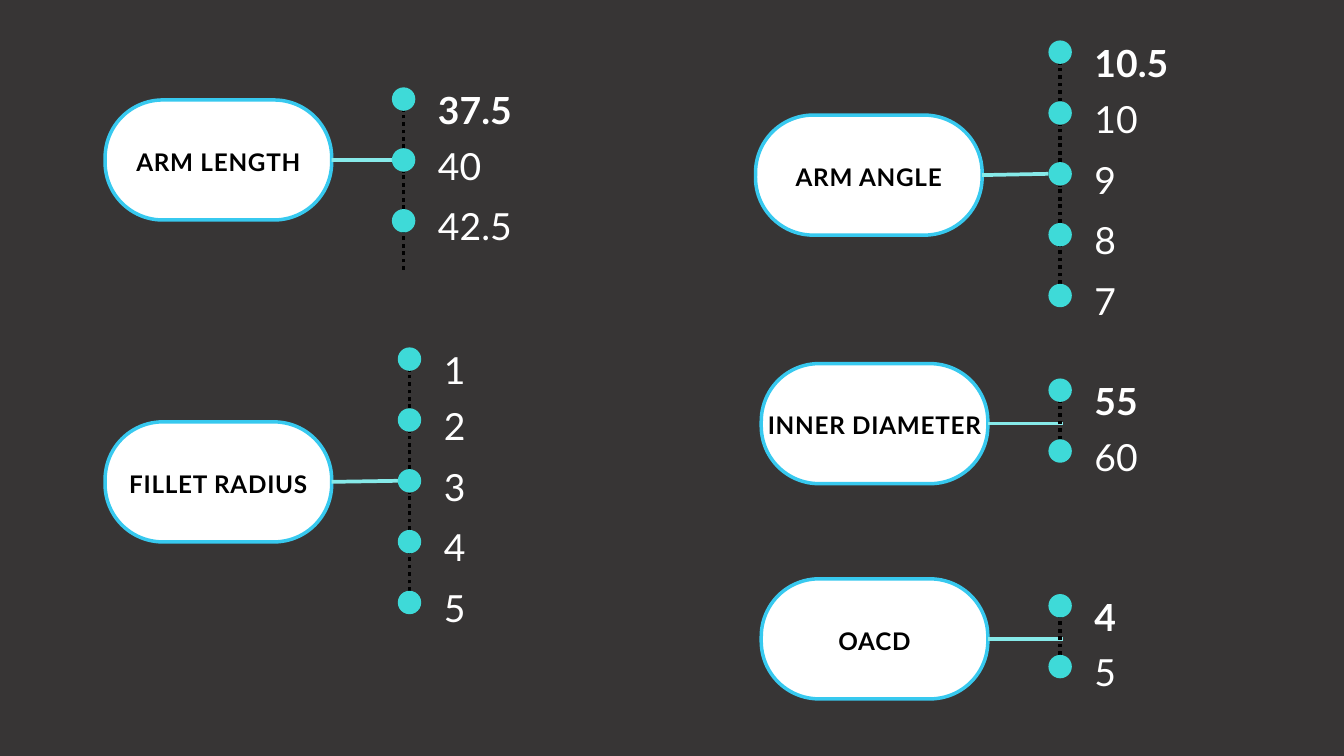
from lxml.etree import SubElement
from pptx import Presentation
from pptx.dml.color import RGBColor
from pptx.enum.dml import MSO_LINE_DASH_STYLE as Dash
from pptx.enum.shapes import MSO_CONNECTOR as Connector, MSO_SHAPE as Shape
from pptx.enum.text import MSO_ANCHOR as Anchor, MSO_AUTO_SIZE as AutoSize, PP_ALIGN as Align
from pptx.oxml.ns import qn
from pptx.util import Pt

FONT = "Lato"
BACKGROUND, WHITE, BLACK = "373535", "FFFFFF", "000000"
PILL_EDGE, DOT_FILL, LINK = "37C9EF", "3EDAD8", "86EAE9"

PILL_WIDTH, PILL_HEIGHT = 242.8, 128.6
DOT = 25.1
PITCH = 65.2  # from one dot to the next
LABEL_DROP = 5.7  # label box starts a little below the pill's top


def color(hex_string):
    return RGBColor.from_string(hex_string)


def add_filled(slide, preset, left, top, width, height, fill):
    shape = slide.shapes.add_shape(preset, Pt(left), Pt(top), Pt(width), Pt(height))
    shape.shadow.inherit = False
    shape.fill.solid()
    shape.fill.fore_color.rgb = color(fill)
    shape.line.fill.background()
    return shape


def add_line(slide, x1, y1, x2, y2, stroke, dash=None):
    line = slide.shapes.add_connector(Connector.STRAIGHT, Pt(x1), Pt(y1), Pt(x2), Pt(y2))
    line.line.color.rgb = color(stroke)
    line.line.width = Pt(4)
    if dash:
        line.line.dash_style = dash
    SubElement(line._element.spPr, qn("a:effectLst"))


def add_text(slide, left, top, width, height, text, size, spacing, fill, bold, inset=0):
    box = slide.shapes.add_textbox(Pt(left), Pt(top), Pt(width), Pt(height))
    frame = box.text_frame
    frame.word_wrap = True
    frame.margin_left = frame.margin_right = Pt(inset)
    frame.margin_top = frame.margin_bottom = Pt(inset)
    paragraph = frame.paragraphs[0]
    paragraph.line_spacing = Pt(spacing)
    run = paragraph.add_run()
    run.text = text
    run.font.name = FONT
    run.font.size = Pt(size)
    run.font.bold = bold
    run.font.color.rgb = color(fill)
    return frame


def add_pill(slide, left, top, title):
    pill = add_filled(slide, Shape.ROUNDED_RECTANGLE, left, top, PILL_WIDTH, PILL_HEIGHT, WHITE)
    pill.adjustments[0] = 0.48
    pill.line.color.rgb = color(PILL_EDGE)
    pill.line.width = Pt(3.75)
    frame = add_text(slide, left, top + LABEL_DROP, PILL_WIDTH, PILL_HEIGHT - LABEL_DROP,
                     title, 26, 28.6, BLACK, True, inset=4)
    frame.vertical_anchor = Anchor.MIDDLE
    frame.paragraphs[0].alignment = Align.CENTER
    frame.paragraphs[0].runs[0]._r.get_or_add_rPr().set("spc", "80")


def add_scale(slide, left, top, values, first_bold, open_end):
    axis = left + DOT / 2
    for index, value in enumerate(values):
        dot_top = top + index * PITCH
        # Dotted step down to the next value
        if index < len(values) - 1 or open_end:
            add_line(slide, axis, dot_top + PITCH, axis, dot_top + DOT, BLACK, Dash.ROUND_DOT)
        add_filled(slide, Shape.OVAL, left, dot_top, DOT, DOT, DOT_FILL)
        # The first value sits slightly lower against its dot
        rise = 12.2 if index == 0 else 17.8
        frame = add_text(slide, left + 49.4, dot_top - rise, 155, 54, value, 40, 60, WHITE,
                         first_bold and index == 0)
        frame.auto_size = AutoSize.SHAPE_TO_FIT_TEXT


def add_parameter(slide, left, top, title, scale_left, scale_top, values,
                  linked=None, first_bold=True, open_end=False):
    """Pill at left, top; its scale of values beside it, joined by a link."""
    add_pill(slide, left, top, title)
    middle = top + PILL_HEIGHT / 2
    if linked is None:  # link meets the axis between two dots
        end_x, end_y = scale_left + DOT / 2 + 3, middle
    else:
        end_x, end_y = scale_left, scale_top + linked * PITCH + DOT / 2
    add_line(slide, left + PILL_WIDTH, middle, end_x, end_y, LINK)
    add_scale(slide, scale_left, scale_top, values, first_bold, open_end)


def main():
    presentation = Presentation()
    presentation.slide_width, presentation.slide_height = Pt(1440), Pt(810)
    slide = presentation.slides.add_slide(presentation.slide_layouts[6])
    slide.background.fill.solid()
    slide.background.fill.fore_color.rgb = color(BACKGROUND)

    # Left column
    add_parameter(slide, 112.6, 107.1, "ARM LENGTH", 419.9, 93.6,
                  ["37.5", "40", "42.5"], linked=1, open_end=True)
    add_parameter(slide, 112.6, 452, "FILLET RADIUS", 426.2, 372.2,
                  ["1", "2", "3", "4", "5"], linked=2, first_bold=False)
    # Right column
    scale_left = 1123.3
    add_parameter(slide, 809.5, 123.3, "ARM ANGLE", scale_left, 43.3,
                  ["10.5", "10", "9", "8", "7"], linked=2)
    add_parameter(slide, 815.6, 389.6, "INNER DIAMETER", scale_left, 405.5, ["55", "60"])
    add_parameter(slide, 815.6, 620.2, "OACD", scale_left, 636.5, ["4", "5"])

    presentation.save("out.pptx")


if __name__ == "__main__":
    main()
